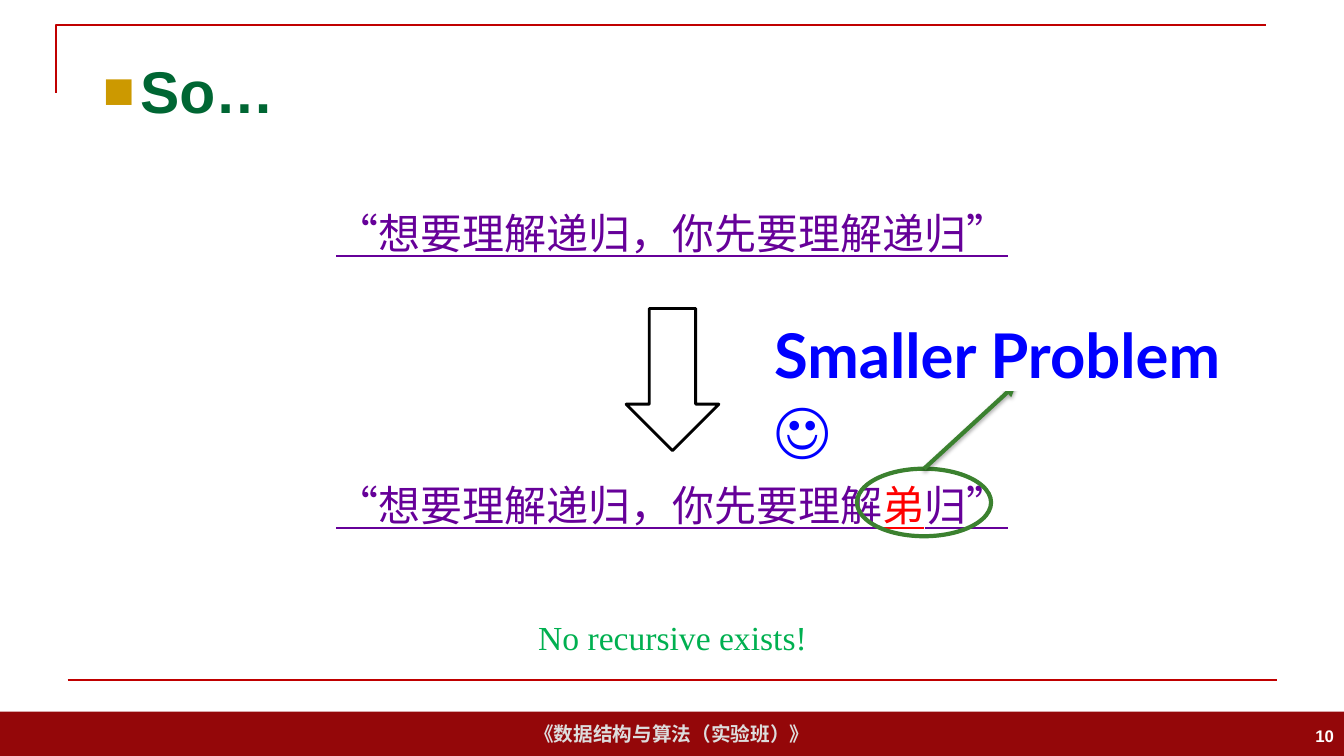
from dataclasses import dataclass

from lxml import etree
from pptx import Presentation
from pptx.dml.color import RGBColor
from pptx.enum.shapes import MSO_CONNECTOR, MSO_SHAPE
from pptx.enum.text import MSO_ANCHOR, PP_ALIGN
from pptx.oxml.ns import qn
from pptx.util import Inches, Pt

LEFT, CENTER, RIGHT = PP_ALIGN.LEFT, PP_ALIGN.CENTER, PP_ALIGN.RIGHT
TOP, MIDDLE = MSO_ANCHOR.TOP, MSO_ANCHOR.MIDDLE
STRAIGHT = MSO_CONNECTOR.STRAIGHT
RECTANGLE, OVAL, DOWN_ARROW = MSO_SHAPE.RECTANGLE, MSO_SHAPE.OVAL, MSO_SHAPE.DOWN_ARROW


@dataclass(frozen=True)
class Theme:
    band: str = "940709"
    rule: str = "C00000"
    footer: str = "DDDDDD"
    title: str = "006633"
    bullet: str = "CC9900"
    quote: str = "660099"
    changed: str = "FF0000"
    mark: str = "3B812F"
    remark: str = "0000FF"
    conclusion: str = "00B050"
    white: str = "FFFFFF"
    black: str = "000000"
    title_size: int = 42
    remark_size: int = 44
    quote_size: int = 30
    conclusion_size: int = 24
    footer_size: int = 14
    number_size: int = 12


THEME = Theme()


def rgb(value):
    return RGBColor.from_string(value)


def add_element(parent, tag, **attributes):
    return etree.SubElement(parent, qn(tag), attributes)


def place(shape, left, top, width, height):
    box = {"left": left, "top": top, "width": width, "height": height}
    for side, length in box.items():
        setattr(shape, side, Inches(length))


def write(shape, runs, font, size, align=LEFT, anchor=TOP, wrap=True, **formats):
    frame = shape.text_frame
    frame.word_wrap = wrap
    frame.vertical_anchor = anchor
    paragraph = frame.paragraphs[0]
    paragraph.alignment = align
    paragraph.space_before = Pt(0)
    for words, color in runs:
        run = paragraph.add_run()
        run.text = words
        for name, value in {"name": font, "size": Pt(size), **formats}.items():
            setattr(run.font, name, value)
        run.font.color.rgb = rgb(color)
    return paragraph


def add_label(slide, box, words, color, font, size, **formats):
    label = slide.shapes.add_textbox(*map(Inches, box))
    return write(label, [(words, color)], font, size, **formats)


def add_outline(slide, kind, box, color, width):
    outline = slide.shapes.add_shape(kind, *map(Inches, box))
    outline.shadow.inherit = False
    outline.fill.background()
    outline.line.color.rgb = rgb(color)
    outline.line.width = Pt(width)
    return outline


def add_line(slide, start, end, color, width):
    line = slide.shapes.add_connector(STRAIGHT, *map(Inches, start + end))
    line.line.color.rgb = rgb(color)
    line.line.width = Pt(width)
    effects = add_element(line._element.spPr, "a:effectLst")
    return line, effects


def add_frame(slide):
    band = slide.shapes.add_shape(RECTANGLE, *map(Inches, (0, 7.06, 13.33, 0.44)))
    band.shadow.inherit = False
    band.fill.solid()
    band.fill.fore_color.rgb = rgb(THEME.band)
    band.line.fill.background()
    write(band, [("《数据结构与算法（实验班）》", THEME.footer)], "Arial", THEME.footer_size,
          CENTER, MIDDLE, wrap=False, bold=True)

    builder = slide.shapes.build_freeform(Inches(0.56), Inches(0.92))
    corner_points = [(0.56, 0.25), (12.56, 0.25)]
    builder.add_line_segments([(Inches(x), Inches(y)) for x, y in corner_points], close=False)
    corner = builder.convert_to_shape()
    corner.shadow.inherit = False
    corner.fill.background()
    corner.line.color.rgb = rgb(THEME.rule)
    corner.line.width = Pt(1.5)

    add_line(slide, (0.67, 6.75), (12.67, 6.75), THEME.rule, 1.5)
    add_label(slide, (10.33, 7.1, 3, 0.4), "10", THEME.white, "Arial", THEME.number_size,
              align=RIGHT, anchor=MIDDLE, bold=True)


def fill_title(title, words):
    place(title, 0.92, 0.4, 11.5, 0.99)
    properties = title.text_frame.paragraphs[0]._p.get_or_add_pPr()
    properties.set("marL", str(Inches(0.37)))
    properties.set("indent", str(-Inches(0.37)))
    bullet_color = add_element(properties, "a:buClr")
    add_element(bullet_color, "a:srgbClr", val=THEME.bullet)
    add_element(properties, "a:buSzPct", val="90000")
    add_element(properties, "a:buFont", typeface="Arial")
    add_element(properties, "a:buChar", char="■")
    write(title, [(words, THEME.title)], "Arial", THEME.title_size, anchor=MIDDLE, bold=True)


def fill_quote(body, top, runs):
    place(body, 0.92, top, 11.5, 1.5)
    body.text_frame.margin_top = Inches(0.2)
    properties = body.text_frame.paragraphs[0]._p.get_or_add_pPr()
    properties.set("marL", "0")
    properties.set("indent", "0")
    add_element(properties, "a:buNone")
    paragraph = write(body, runs, "Roboto", THEME.quote_size, CENTER, underline=True)
    for run in paragraph.runs:
        run._r.rPr.set("lang", "zh-CN")


def add_pointer(slide, ring, end):
    pointer, effects = add_line(slide, (9.17, 4.65), end, THEME.mark, 3)
    pointer.begin_connect(ring, 0)
    add_element(pointer.line._get_or_add_ln(), "a:tailEnd", type="triangle")
    shadow = add_element(effects, "a:outerShdw", blurRad=str(Pt(3.1)), dist=str(Pt(1.8)),
                         dir="5400000", rotWithShape="0")
    shade = add_element(shadow, "a:srgbClr", val=THEME.black)
    add_element(shade, "a:alpha", val="35000")


def add_remark(slide):
    remark = add_label(slide, (7.58, 3.09, 5.08, 0.84), "Smaller Problem☺", THEME.remark,
                       "Lato", THEME.remark_size, bold=True)
    properties = remark.runs[0]._r.rPr
    highlight = etree.Element(qn("a:highlight"))
    add_element(highlight, "a:srgbClr", val=THEME.white)
    properties.find(qn("a:solidFill")).addnext(highlight)


def main():
    deck = Presentation()
    deck.slide_width, deck.slide_height = Inches(13.33), Inches(7.5)
    slide = deck.slides.add_slide(deck.slide_layouts[3])
    title, premise, variant = slide.placeholders

    add_frame(slide)
    fill_title(title, "So…")
    fill_quote(premise, 1.86, [("“想要理解递归，你先要理解递归”", THEME.quote)])
    fill_quote(variant, 4.56, [("“想要理解递归，你先要理解", THEME.quote),
                               ("弟", THEME.changed), ("归”", THEME.quote)])
    ring = add_outline(slide, OVAL, (8.5, 4.65, 1.33, 0.67), THEME.mark, 3)
    add_pointer(slide, ring, (10.08, 3.81))
    add_remark(slide)
    add_outline(slide, DOWN_ARROW, (6.21, 3.06, 0.92, 1.41), THEME.black, 2)
    add_label(slide, (2.65, 6.07, 8.04, 0.5), "No recursive exists!", THEME.conclusion,
              "Times New Roman", THEME.conclusion_size, align=CENTER)
    deck.save("out.pptx")


if __name__ == "__main__":
    main()
